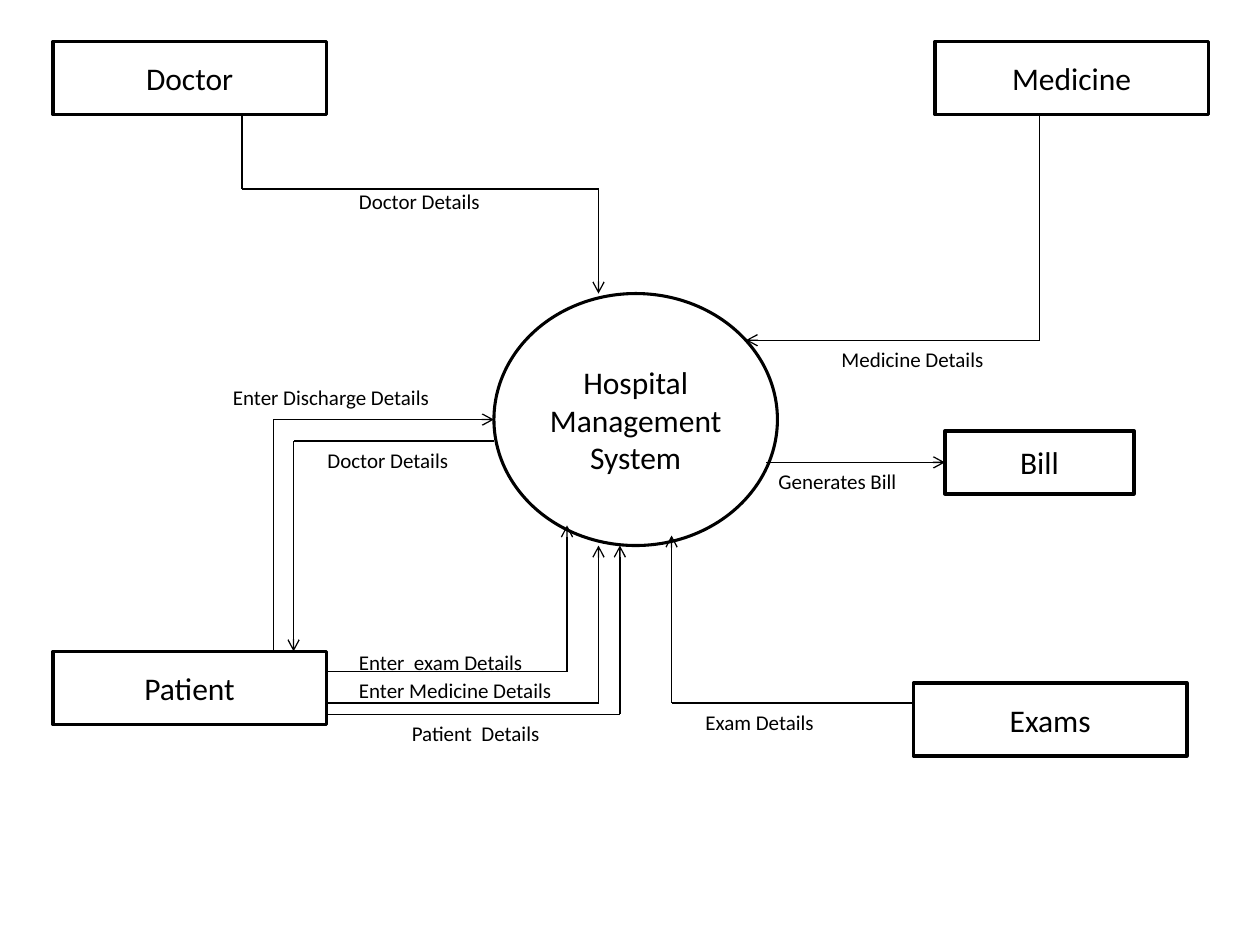
from dataclasses import dataclass
from itertools import pairwise

from lxml.etree import SubElement
from pptx import Presentation
from pptx.dml.color import RGBColor
from pptx.enum.shapes import MSO_CONNECTOR as Connector, MSO_SHAPE as Shape
from pptx.enum.text import MSO_ANCHOR as Anchor, MSO_AUTO_SIZE as AutoSize, PP_ALIGN as Align
from pptx.oxml.ns import qn
from pptx.util import Inches, Pt

COLOURS = {"ink": "000000", "paper": "FFFFFF"}
INK = RGBColor.from_string(COLOURS["ink"])
PAPER = RGBColor.from_string(COLOURS["paper"])
FONT = "Calibri"
ENTITY_SIZE = (2.17, 0.58)
LABEL_HEIGHT = 0.3

Point = tuple[float, float]


@dataclass(frozen=True)
class Node:
    lines: tuple[str, ...]
    corner: Point
    size: Point = ENTITY_SIZE
    kind: Shape = Shape.RECTANGLE
    weight: float = 2
    filled: bool = False


@dataclass(frozen=True)
class Flow:
    label: str
    corner: Point
    width: float
    route: tuple[Point, ...]


NODES = (
    Node(("Hospital", "Management System"), (3.92, 2.33), (2.25, 2), Shape.OVAL, 1.75, True),
    Node(("Patient",), (0.42, 5.17)),
    Node(("Medicine",), (7.42, 0.33)),
    Node(("Doctor",), (0.42, 0.33)),
    Node(("Exams",), (7.25, 5.42)),
    Node(("Bill",), (7.5, 3.42), (1.5, 0.5)),
)

FLOWS = (
    Flow("Doctor Details", (2.75, 1.45), 1.42,
         ((1.92, 0.92), (1.92, 1.5), (4.75, 1.5), (4.75, 2.33))),
    Flow("Medicine Details", (6.58, 2.7), 1.42, ((8.25, 0.92), (8.25, 2.7), (5.92, 2.7))),
    Flow("Patient  Details", (3.17, 5.67), 1.5, ((2.58, 5.67), (4.92, 5.67), (4.92, 4.33))),
    Flow("Exam Details", (5.5, 5.58), 1.17, ((7.25, 5.58), (5.33, 5.58), (5.33, 4.25))),
    Flow("Enter Discharge Details", (1.75, 3), 2.25, ((2.17, 5.17), (2.17, 3.33), (3.92, 3.33))),
    Flow("Enter Medicine Details", (2.75, 5.33), 1.92, ((2.58, 5.58), (4.75, 5.58), (4.75, 4.33))),
    Flow("Enter  exam Details", (2.75, 5.11), 1.92, ((2.58, 5.33), (4.5, 5.33), (4.5, 4.17))),
    Flow("Doctor Details", (2.5, 3.5), 1.25, ((3.92, 3.5), (2.33, 3.5), (2.33, 5.17))),
    Flow("Generates Bill", (6.08, 3.67), 1.42, ((6.08, 3.67), (7.5, 3.67))),
)


def apply(target, values: dict) -> None:
    for name, value in values.items():
        setattr(target, name, value)


def write(frame, lines: tuple[str, ...], size: float, align: Align) -> None:
    for index, text in enumerate(lines):
        para = frame.add_paragraph() if index else frame.paragraphs[0]
        para.alignment = align
        span = para.add_run()
        span.text = text
        apply(span.font, {"name": FONT, "size": Pt(size)})
        span.font.color.rgb = INK


def draw_node(page, node: Node) -> None:
    box = page.shapes.add_shape(node.kind, *map(Inches, node.corner + node.size))
    box.shadow.inherit = False
    if node.filled:
        box.fill.solid()
        box.fill.fore_color.rgb = PAPER
    else:
        box.fill.background()
    box.line.color.rgb = INK
    box.line.width = Pt(node.weight)
    apply(box.text_frame, {"word_wrap": True, "vertical_anchor": Anchor.MIDDLE})
    write(box.text_frame, node.lines, 18, Align.CENTER)


def draw_segment(page, start: Point, end: Point, arrow: bool) -> None:
    segment = page.shapes.add_connector(Connector.STRAIGHT, *map(Inches, start + end))
    segment.line.color.rgb = INK
    segment.line.width = Pt(0.75)
    if arrow:
        SubElement(segment.line._get_or_add_ln(), qn("a:tailEnd"), type="arrow")
    SubElement(segment._element.spPr, qn("a:effectLst"))


def draw_flow(page, flow: Flow) -> None:
    for start, end in pairwise(flow.route):
        draw_segment(page, start, end, end == flow.route[-1])
    box = page.shapes.add_textbox(*map(Inches, flow.corner + (flow.width, LABEL_HEIGHT)))
    apply(box.text_frame, {"word_wrap": True, "auto_size": AutoSize.SHAPE_TO_FIT_TEXT})
    write(box.text_frame, (flow.label,), 12, Align.LEFT)


deck = Presentation()
apply(deck, {"slide_width": Inches(10), "slide_height": Inches(7.5)})
page = deck.slides.add_slide(deck.slide_layouts[6])
for node in NODES:
    draw_node(page, node)
for flow in FLOWS:
    draw_flow(page, flow)
deck.save("out.pptx")
